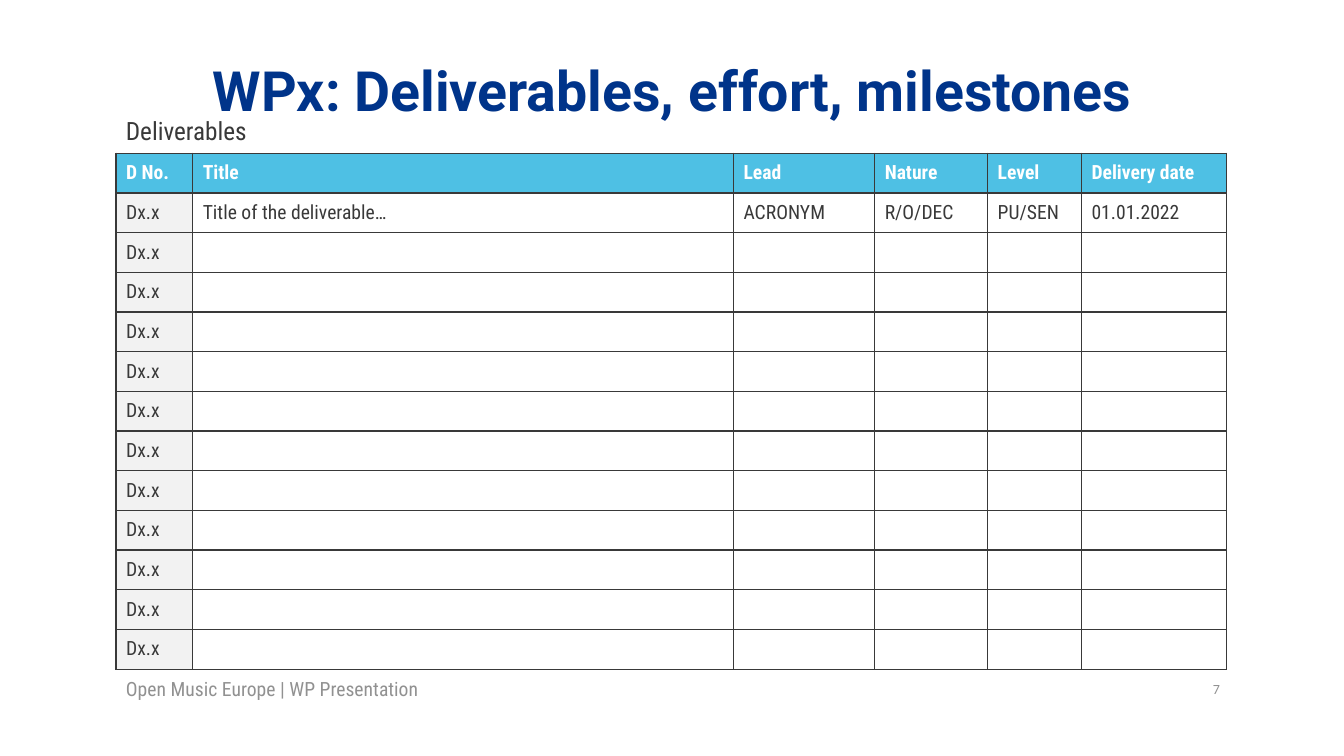
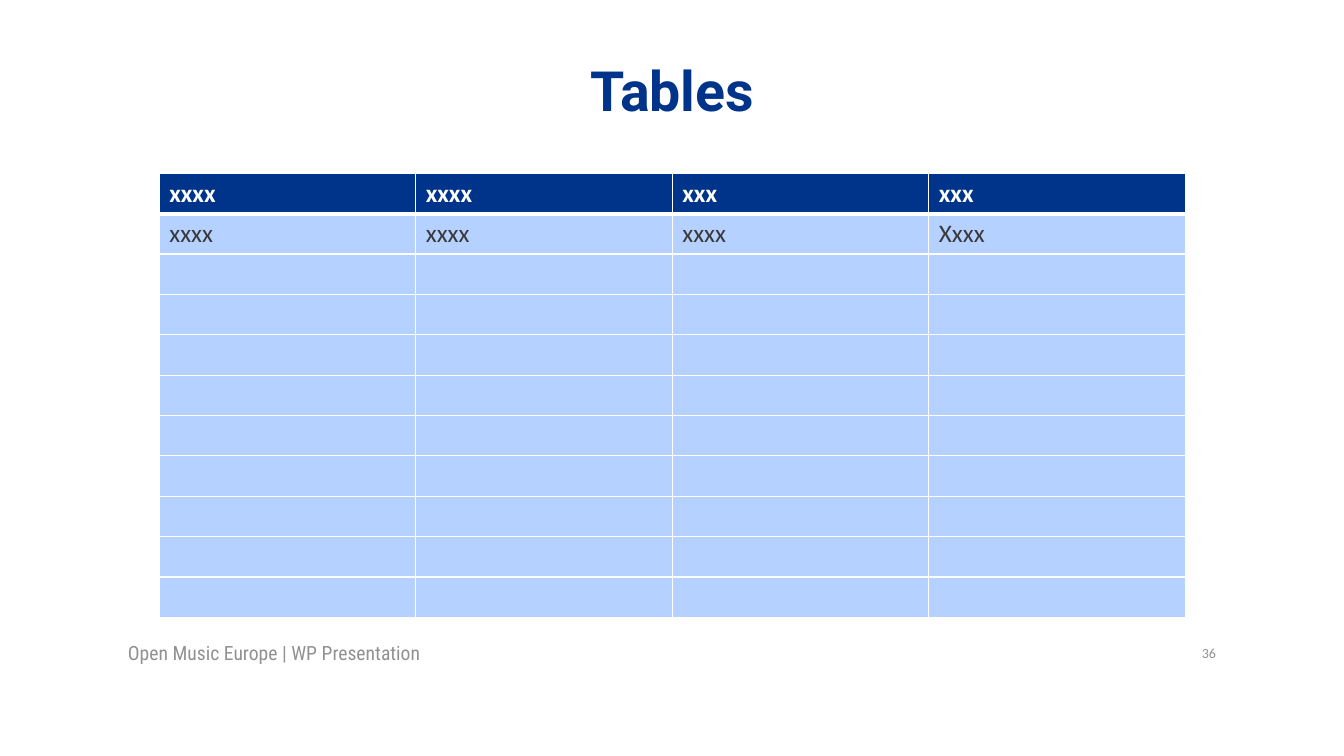
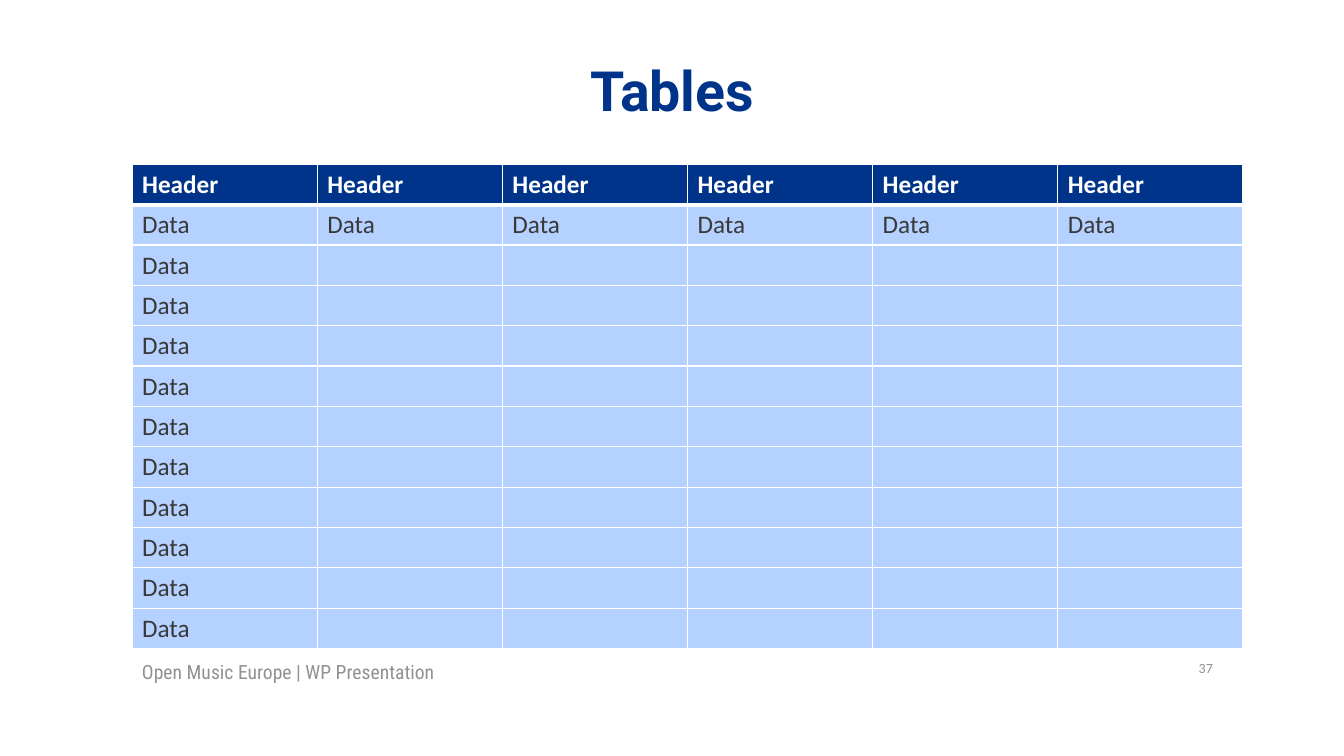
from dataclasses import dataclass

from lxml import etree
from pptx import Presentation, util as u
from pptx.dml.color import RGBColor
from pptx.enum import text
from pptx.oxml import ns


@dataclass(frozen=True)
class Theme:
    navy: str = "00348A"
    cyan: str = "4EC0E4"
    pale_blue: str = "B5D1FF"
    pale_grey: str = "F2F2F2"
    grey: str = "919191"
    ink: str = "393939"
    white: str = "FFFFFF"
    title_font: str = "Roboto"
    label_font: str = "Roboto Condensed"
    plain_font: str = "Calibri"
    title_size: float = 39.6
    body_size: float = 18
    small_size: float = 14
    number_size: float = 10


theme = Theme()
LEFT, CENTER, RIGHT = text.PP_ALIGN.LEFT, text.PP_ALIGN.CENTER, text.PP_ALIGN.RIGHT
TOP, MIDDLE = text.MSO_ANCHOR.TOP, text.MSO_ANCHOR.MIDDLE

prs = Presentation()
prs.slide_width, prs.slide_height = u.Inches(13.333), u.Inches(7.5)


def write(paragraph, words, color, **font_format):
    """Put one run into the paragraph and format it."""
    run = paragraph.add_run()
    run.text = words
    run.font.color.rgb = RGBColor.from_string(color)
    for attribute, value in font_format.items():
        setattr(run.font, attribute, value)


def place(left, top, width, height):
    """Turn percentages of the slide's size into lengths."""
    return [u.Emu(int(share * side / 100)) for share, side in
            zip((left, top, width, height),
                (prs.slide_width, prs.slide_height) * 2)]


title_format = {"name": theme.title_font, "size": u.Pt(theme.title_size), "bold": True}
footer_format = {"name": theme.label_font, "size": u.Pt(theme.small_size)}
number_format = {"name": theme.plain_font, "size": u.Pt(theme.number_size)}
heading_format = {"name": theme.label_font, "size": u.Pt(theme.body_size)}

# Positions are left, top, width, height in percent of the slide.
deliverables_look = {
    "font": theme.label_font, "size": theme.small_size, "anchor": MIDDLE,
    "header": theme.cyan, "first_column": theme.pale_grey, "body": None,
    "border": theme.ink, "header_rule": 1,
}
blue_look = {
    "font": theme.plain_font, "size": theme.body_size, "anchor": TOP,
    "header": theme.navy, "first_column": theme.pale_blue, "body": theme.pale_blue,
    "border": theme.white, "header_rule": 3,
}
pages = [
    {
        "title": "WPx: Deliverables, effort, milestones", "number": "7",
        "heading": "Deliverables", "look": deliverables_look,
        "table": (8.63, 20.27, 82.65, 68.27),
        "footer": (8.63, 89.47), "number_at": (85.88, 89.47),
        "columns": [0.76, 5.36, 1.4, 1.12, 0.93, 1.44],
        "rows": [
            ["D No.", "Title", "Lead", "Nature", "Level", "Delivery date"],
            ["Dx.x", "Title of the deliverable…", "ACRONYM", "R/O/DEC", "PU/SEN",
             "01.01.2022"],
        ] + [["Dx.x"] + [""] * 5] * 11,
    },
    {
        "title": "Tables", "number": "36", "heading": "", "look": blue_look,
        "table": (11.85, 22.93, 76.35, 58.67),
        "footer": (8.78, 84.67), "number_at": (85.58, 84.67),
        "columns": [1] * 4,
        "rows": [["xxxx", "xxxx", "xxx", "xxx"], ["xxxx", "xxxx", "xxxx", "Xxxx"]]
        + [[""] * 4] * 9,
    },
    {
        "title": "Tables", "number": "37", "heading": "", "look": blue_look,
        "table": (9.83, 21.73, 82.65, 64),
        "footer": (9.83, 87.2), "number_at": (85.35, 86.67),
        "columns": [1] * 6,
        "rows": [["Header"] * 6, ["Data"] * 6] + [["Data"] + [""] * 5] * 10,
    },
]

for page in pages:
    slide = prs.slides.add_slide(prs.slide_layouts[6])
    look, rows, columns = page["look"], page["rows"], page["columns"]

    # Title, footer, page number and heading
    labels = [
        (page["title"], (11.85, 9.6, 76.35, 5.6), CENTER, MIDDLE, 0.9,
         theme.navy, title_format),
        ("Open Music Europe | WP Presentation", (*page["footer"], 82.65, 3.33),
         LEFT, MIDDLE, 1, theme.grey, footer_format),
        (page["number"], (*page["number_at"], 5.63, 3.33), RIGHT, MIDDLE, 1,
         theme.grey, number_format),
    ]
    if page["heading"]:
        labels.append((page["heading"], (8.63, 15.07, 82.65, 4.13), LEFT, TOP, 0.9,
                       theme.ink, heading_format))
    for words, area, align, anchor, spacing, color, font_format in labels:
        frame = slide.shapes.add_textbox(*place(*area)).text_frame
        frame.word_wrap = True
        frame.vertical_anchor = anchor
        if font_format is title_format:
            frame.margin_top = frame.margin_bottom = 0
        paragraph = frame.paragraphs[0]
        paragraph.alignment, paragraph.line_spacing = align, spacing
        write(paragraph, words, color, **font_format)

    # Table
    area = place(*page["table"])
    grid = slide.shapes.add_table(len(rows), len(columns), *area).table
    grid.horz_banding = False
    for column, share in zip(grid.columns, columns):
        column.width = u.Emu(int(area[2] * share / sum(columns)))
    for row in grid.rows:
        row.height = u.Emu(area[3] // len(rows))

    for r, row in enumerate(rows):
        for c, words in enumerate(row):
            cell = grid.cell(r, c)
            cell.vertical_anchor = look["anchor"]
            paragraph = cell.text_frame.paragraphs[0]
            if words:
                write(paragraph, words, theme.ink if r else theme.white,
                      name=look["font"], size=u.Pt(look["size"]), bold=r == 0)
            else:
                etree.SubElement(paragraph._p, ns.qn("a:endParaRPr"),
                                 sz=str(look["size"] * 100))

            # Borders come before the fill in the cell's properties
            properties = cell._tc.get_or_add_tcPr()
            for side in ("lnL", "lnR", "lnT", "lnB"):
                under_header = (r, side) in ((0, "lnB"), (1, "lnT"))
                points = look["header_rule"] if under_header else 1
                line = etree.SubElement(properties, ns.qn(f"a:{side}"),
                                        w=str(u.Pt(points)))
                paint = etree.SubElement(line, ns.qn("a:solidFill"))
                etree.SubElement(paint, ns.qn("a:srgbClr"), val=look["border"])

            part = "header" if r == 0 else "body" if c else "first_column"
            if look[part]:
                cell.fill.solid()
                cell.fill.fore_color.rgb = RGBColor.from_string(look[part])
            else:
                cell.fill.background()

prs.save("out.pptx")
